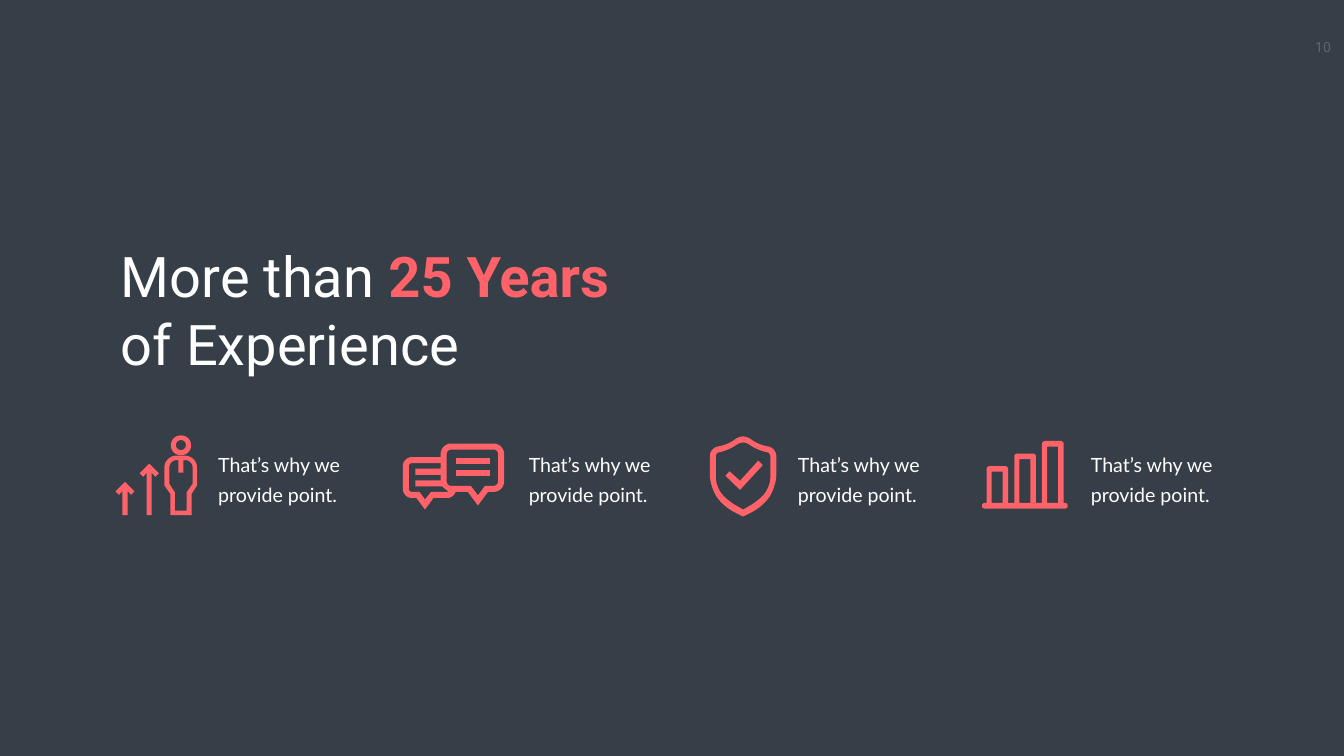
from math import dist

from lxml.etree import SubElement
from pptx import Presentation
from pptx.dml.color import RGBColor
from pptx.enum.shapes import MSO_SHAPE
from pptx.enum.text import MSO_AUTO_SIZE, PP_ALIGN
from pptx.oxml.ns import qn
from pptx.util import Inches, Pt

COLORS = {"background": "363E48", "accent": "FF6269", "text": "FFFFFF"}
BENEFIT = "That’s why we provide point."
BENEFIT_LEFTS = (4.23, 10.39, 15.73, 21.54)
CURVE_STEPS = 8
ROUNDNESS = 0.55


def color(name):
    """Return a palette colour."""
    return RGBColor.from_string(COLORS[name])


def add_text(slide, box, runs, size, font, wrap=True):
    """Add a one-paragraph text box from (text, colour, bold) runs."""
    frame = slide.shapes.add_textbox(*map(Inches, box)).text_frame
    frame.word_wrap = wrap
    frame.auto_size = MSO_AUTO_SIZE.SHAPE_TO_FIT_TEXT
    paragraph = frame.paragraphs[0]
    for text, tone, bold in runs:
        run = paragraph.add_run()
        run.text = text
        run.font.size, run.font.name, run.font.bold = Pt(size), font, bold
        run.font.color.rgb = color(tone)
    return paragraph


def add_overlay(slide, width, height):
    """Cover the slide with a tint of 80% opacity."""
    overlay = slide.shapes.add_shape(MSO_SHAPE.RECTANGLE, 0, 0, width, height)
    overlay.shadow.inherit = False
    overlay.fill.solid()
    overlay.fill.fore_color.rgb = color("background")
    overlay.line.fill.background()
    tint = overlay.fill._xPr.find(qn("a:solidFill"))[0]
    SubElement(tint, qn("a:alpha")).set("val", "80000")


def round_corners(vertices):
    """Turn (x, y[, radius]) vertices into points with curved corners."""
    points = []
    for i, (x, y, *radius) in enumerate(vertices):
        if not radius:
            points.append((x, y))
            continue
        ends = []
        for neighbour in (vertices[i - 1], vertices[(i + 1) % len(vertices)]):
            share = radius[0] / dist((x, y), neighbour[:2])
            ends.append([c + (n - c) * share for c, n in zip((x, y), neighbour)])
        for step in range(CURVE_STEPS + 1):
            t = step / CURVE_STEPS
            start = (1 - t) ** 3 + 3 * t * (1 - t) ** 2 * (1 - ROUNDNESS)
            end = t ** 3 + 3 * t ** 2 * (1 - t) * (1 - ROUNDNESS)
            points.append(tuple(a * start + b * end + c * (1 - start - end)
                                for a, b, c in zip(*ends, (x, y))))
    return points


def add_outline(shapes, *contours):
    """Fill the contours as one freeform, inner contours being holes."""
    builder = None
    for contour in contours:
        points = [(Inches(x), Inches(y)) for x, y in round_corners(contour)]
        if builder is None:
            builder = shapes.build_freeform(*points[0])
        else:
            builder.move_to(*points[0])
        builder.add_line_segments(points[1:], close=True)
    outline = builder.convert_to_shape()
    outline.shadow.inherit = False
    outline.fill.solid()
    outline.fill.fore_color.rgb = color("accent")
    outline.line.fill.background()


def box(left, top, right, bottom, *radius):
    """Return the vertices of a rectangle, optionally rounded."""
    return [(left, top, *radius), (right, top, *radius),
            (right, bottom, *radius), (left, bottom, *radius)]


def mirror(center, half):
    """Complete a right half that ends on the axis with its reflection."""
    right = [(center + x, *rest) for x, *rest in half]
    left = [(center - x, *rest) for x, *rest in reversed(half[:-1])]
    return right + left


def add_growth_icon(slide):
    """Draw a person beside two rising arrows."""
    shapes = slide.shapes.add_group_shape().shapes
    body = [(3.26, 9.04, 0.24), (3.91, 9.04, 0.24), (3.91, 9.63), (3.8, 9.8),
            (3.8, 10.22), (3.38, 10.22), (3.38, 9.8), (3.26, 9.63)]
    suit = [(3.36, 9.13, 0.14), (3.54, 9.13), (3.54, 9.38), (3.64, 9.38),
            (3.64, 9.13), (3.82, 9.13, 0.14), (3.82, 9.6), (3.7, 9.77),
            (3.7, 10.13), (3.47, 10.13), (3.47, 9.77), (3.36, 9.6)]
    add_outline(shapes, body, suit)
    add_outline(shapes, box(3.39, 8.64, 3.79, 9.03, 0.19),
                box(3.49, 8.73, 3.69, 8.93, 0.1))
    for center, tip in ((2.96, 9.2), (2.48, 9.56)):
        half = [(0.05, 10.22), (0.05, tip + 0.18), (0.12, tip + 0.26),
                (0.19, tip + 0.19), (0, tip)]
        add_outline(shapes, mirror(center, half))


def add_chat_icon(slide):
    """Draw two overlapping speech bubbles with lines of text."""
    shapes = slide.shapes.add_group_shape().shapes
    bubbles = [(8.74, 8.8, 0.21), (10, 8.8, 0.21), (10, 9.76, 0.21),
               (9.68, 9.76), (9.48, 10.03), (9.28, 9.76), (9.04, 9.76),
               (8.97, 9.88, 0.09), (8.6, 9.88), (8.43, 10.11), (8.26, 9.88),
               (7.99, 9.88, 0.18), (7.99, 9.07, 0.18), (8.74, 9.07)]
    front = [(8.86, 8.92, 0.09), (9.88, 8.92, 0.09), (9.88, 9.64, 0.09),
             (9.62, 9.64), (9.48, 9.83), (9.34, 9.64), (8.86, 9.64, 0.09)]
    back = [(8.11, 9.19, 0.06), (8.74, 9.19), (8.74, 9.3), (8.24, 9.3),
            (8.24, 9.42), (8.74, 9.42), (8.74, 9.53), (8.24, 9.53),
            (8.24, 9.65), (8.77, 9.65), (8.9, 9.76), (8.55, 9.76),
            (8.43, 9.91), (8.32, 9.76), (8.11, 9.76, 0.06)]
    add_outline(shapes, bubbles, front, back)
    for top in (9.09, 9.32):
        add_outline(shapes, box(9.04, top, 9.71, top + 0.12))


def add_shield_icon(slide):
    """Draw a shield with a check mark."""
    shapes = slide.shapes.add_group_shape().shapes
    add_outline(shapes, [(14.68, 9.54), (14.47, 9.35), (14.39, 9.44),
                         (14.68, 9.72), (15.13, 9.23), (15.04, 9.14)])
    rim = [(0.08, 8.66, 0.08), (0.3, 8.82, 0.15), (0.66, 8.89, 0.16),
           (0.66, 9.68, 0.26), (0.37, 10.06, 0.2), (0, 10.25, 0.02)]
    face = [(0.06, 8.78, 0.06), (0.29, 8.93, 0.15), (0.54, 8.99, 0.06),
            (0.54, 9.68, 0.2), (0.28, 9.95, 0.15), (0, 10.11)]
    add_outline(shapes, mirror(14.74, rim), mirror(14.74, face))


def add_bars_icon(slide):
    """Draw three rising bars on a base line."""
    floor, base = 9.98, 10.09
    silhouette = [(19.48, base, 0.05), (19.48, floor, 0.05)]
    openings = []
    for i in range(3):
        left, top = 19.57 + 0.55 * i, 9.25 - 0.25 * i
        right = left + 0.43
        silhouette += [(left, floor), (left, top, 0.06),
                       (right, top, 0.06), (right, floor)]
        openings.append(box(left + 0.1, top + 0.11, right - 0.11, floor))
    silhouette += [(21.18, floor, 0.05), (21.18, base, 0.05)]
    add_outline(slide.shapes, silhouette, *openings)


def main():
    """Build and save the experience slide."""
    deck = Presentation()
    deck.slide_width, deck.slide_height = Inches(26.66), Inches(15)
    slide = deck.slides.add_slide(deck.slide_layouts[6])
    slide.background.fill.solid()
    slide.background.fill.fore_color.rgb = color("background")

    page_number = add_text(slide, (25.79, 0.67, 0.91, 0.54),
                           [("10", "text", False)], 20, "Roboto", wrap=False)
    page_number.alignment = PP_ALIGN.CENTER
    number_frame = slide.shapes[0].text_frame
    number_frame.margin_left = number_frame.margin_right = Inches(0.2)
    number_frame.margin_top = number_frame.margin_bottom = Inches(0.1)
    add_overlay(slide, deck.slide_width, deck.slide_height)

    add_text(slide, (2.3, 4.75, 10.55, 2.79),
             [("More than ", "text", False), ("25 Years ", "accent", True),
              ("of Experience", "text", False)], 80, "Roboto")
    for add_icon in (add_growth_icon, add_chat_icon, add_shield_icon, add_bars_icon):
        add_icon(slide)
    for left in BENEFIT_LEFTS:
        benefit = add_text(slide, (left, 8.8, 2.82, 1.25),
                           [(BENEFIT, "text", False)], 28, "Lato")
        benefit.line_spacing = Pt(43)
    deck.save("out.pptx")


if __name__ == "__main__":
    main()
